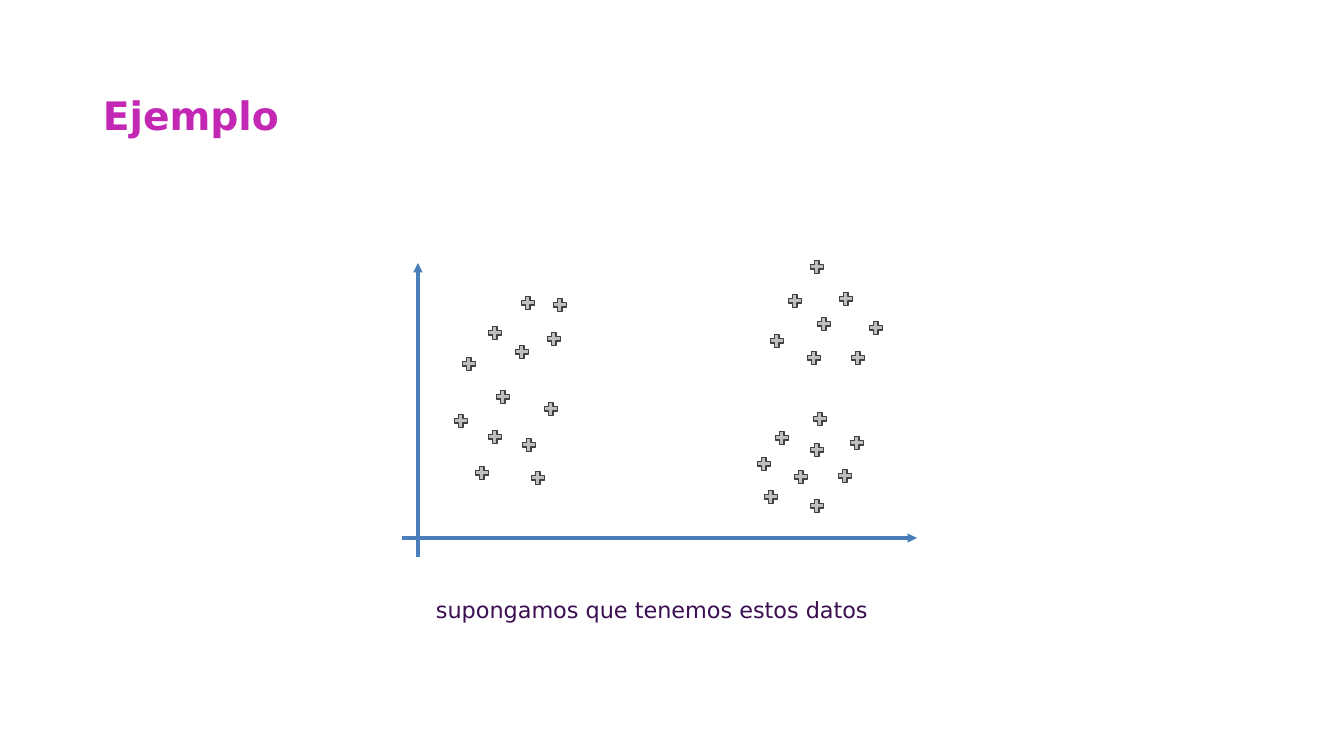
from pptx import Presentation
from pptx.dml.color import RGBColor
from pptx.enum.shapes import MSO_CONNECTOR, MSO_SHAPE
from pptx.enum.text import MSO_ANCHOR as ANCHOR, PP_ALIGN as ALIGN
from pptx.oxml.ns import qn
from pptx.util import Pt
from lxml.etree import SubElement

PX = 914400 / 100.8
FONT = "DejaVu Sans"
MARK = 13  # width of a data mark


def emu(*lengths):
    return [round(n * PX) for n in lengths]


def color(hex_code):
    return RGBColor.from_string(hex_code)


prs = Presentation()
prs.slide_width, prs.slide_height = emu(1344, 756)
slide = prs.slides.add_slide(prs.slide_layouts[6])
shapes = slide.shapes

# Title and caption
texts = [
    ("Ejemplo", (93, 72, 1159, 92), 28, "C228B4", True, ALIGN.LEFT, ANCHOR.MIDDLE, 10),
    ("supongamos que tenemos estos datos", (368, 591, 568, 37), 16, "3C0F53", False,
     ALIGN.CENTER, ANCHOR.TOP, 5),
]
for text, box, size, hex_code, bold, align, anchor, inset in texts:
    tf = shapes.add_textbox(*emu(*box)).text_frame
    tf.word_wrap = True
    tf.vertical_anchor = anchor
    tf.margin_left, tf.margin_right = emu(inset, inset)
    tf.margin_top, tf.margin_bottom = emu(5, 5)
    tf.text = text
    p = tf.paragraphs[0]
    p.alignment = align
    if bold:
        p.line_spacing = 0.9
    r = p.runs[0]
    r.font.name = FONT
    r.font.size = Pt(size)
    r.font.bold = bold
    r.font.color.rgb = color(hex_code)

# Axes
for ends in [(418, 557, 418, 263), (402, 538, 917, 538)]:
    axis = shapes.add_connector(MSO_CONNECTOR.STRAIGHT, *emu(*ends))
    axis.line.color.rgb = color("4A7EBB")
    axis.line.width = Pt(2.25)
    SubElement(axis.line._get_or_add_ln(), qn("a:tailEnd"), type="triangle")
    SubElement(axis._element.spPr, qn("a:effectLst"))

# Data marks, by centre
left_group = [
    (461, 421), (551, 409), (495, 437), (538, 478), (482, 473), (503, 397), (529, 445),
    (469, 364), (522, 352), (495, 333), (554, 339), (560, 305), (528, 303),
]
upper_group = [
    (817, 267), (846, 299), (795, 301), (824, 324), (876, 328), (814, 358), (858, 358),
    (777, 341),
]
lower_group = [
    (764, 464), (782, 438), (801, 477), (771, 497), (817, 506), (845, 476), (817, 450),
    (857, 443), (820, 419),
]
for x, y in left_group + upper_group + lower_group:
    sp = shapes.add_shape(MSO_SHAPE.CROSS, *emu(x - MARK / 2, y - MARK / 2, MARK, MARK))
    sp.adjustments[0] = 0.33
    sp.shadow.inherit = False
    sp.fill.solid()
    sp.fill.fore_color.rgb = color("BFBFBF")
    sp.line.color.rgb = color("404040")
    sp.line.width = Pt(1)

prs.save("out.pptx")
